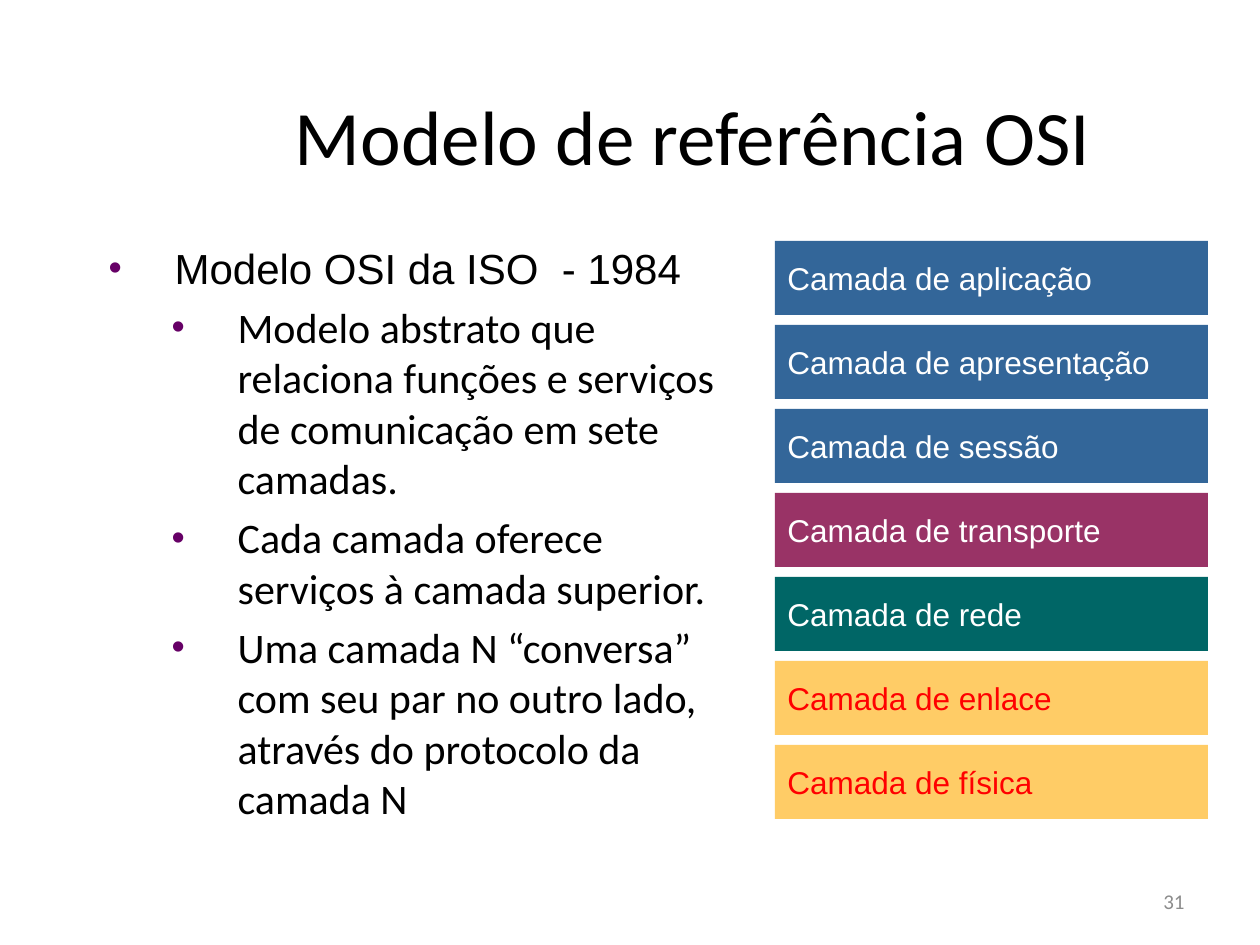
from lxml import etree
from pptx import Presentation, util as u
from pptx.dml.color import RGBColor
from pptx.enum import shapes, text
from pptx.oxml import ns

BLACK = RGBColor(0x00, 0x00, 0x00)
WHITE = RGBColor(0xFF, 0xFF, 0xFF)
RED = RGBColor(0xFF, 0x00, 0x00)
GRAY = RGBColor(0x8C, 0x8C, 0x8C)
BLUE = RGBColor(0x33, 0x66, 0x99)
PLUM = RGBColor(0x99, 0x33, 0x66)
TEAL = RGBColor(0x00, 0x66, 0x66)
GOLD = RGBColor(0xFF, 0xCC, 0x66)
PURPLE = RGBColor(0x66, 0x00, 0x66)
SCALE = 914400 / 126


def px(n):
    return u.Emu(round(n * SCALE))


def style(para, face, size, color):
    for run in para.runs:
        run.font.name = face
        run.font.size = u.Pt(size)
        run.font.color.rgb = color


deck = Presentation()
deck.slide_width, deck.slide_height = px(1260), px(945)
slide = deck.slides.add_slide(deck.slide_layouts[1])

title = slide.shapes.title
title.left, title.top, title.width, title.height = px(147), px(32), px(1092), px(168)
frame = title.text_frame
frame.text = "Modelo de referência OSI"
frame.auto_size = text.MSO_AUTO_SIZE.NONE
frame.vertical_anchor = text.MSO_ANCHOR.MIDDLE
para = frame.paragraphs[0]
para.alignment = text.PP_ALIGN.CENTER
para.line_spacing = 1.4
style(para, "Calibri", 44, BLACK)

body = slide.placeholders[1]
body.left, body.top, body.width, body.height = px(44), px(236), px(701), px(572)
frame = body.text_frame
frame.auto_size = text.MSO_AUTO_SIZE.NONE
points = [
    (1, 118, "Arial", "Modelo OSI da ISO  - 1984"),
    (2, 181, "Calibri", "Modelo abstrato que relaciona funções e serviços de comunicação em sete camadas."),
    (2, 181, "Calibri", "Cada camada oferece serviços à camada superior."),
    (2, 181, "Calibri", "Uma camada N “conversa” com seu par no outro lado, através do protocolo da camada N"),
]
for i, (level, margin, face, words) in enumerate(points):
    para = frame.paragraphs[0] if i == 0 else frame.add_paragraph()
    para.text = words
    para.level = level
    props = para._p.get_or_add_pPr()
    props.set("marL", str(px(margin)))
    props.set("indent", str(px(-66)))
    tint = etree.SubElement(props, ns.qn("a:buClr"))
    etree.SubElement(tint, ns.qn("a:srgbClr"), val=str(PURPLE))
    etree.SubElement(props, ns.qn("a:buSzPct"), val="90000")
    etree.SubElement(props, ns.qn("a:buFont"), typeface="Arial")
    etree.SubElement(props, ns.qn("a:buChar"), char="•")
    para.space_before = u.Pt(5 if i else 0)
    style(para, face, 24, BLACK)

layers = [
    ("aplicação", BLUE, WHITE),
    ("apresentação", BLUE, WHITE),
    ("sessão", BLUE, WHITE),
    ("transporte", PLUM, WHITE),
    ("rede", TEAL, WHITE),
    ("enlace", GOLD, RED),
    ("física", GOLD, RED),
]
for i, (name, fill, ink) in enumerate(layers):
    box = slide.shapes.add_shape(
        shapes.MSO_SHAPE.RECTANGLE, px(775), px(241 + 84 * i), px(433), px(74))
    box.shadow.inherit = False
    box.fill.solid()
    box.fill.fore_color.rgb = fill
    box.line.fill.background()
    frame = box.text_frame
    frame.text = "Camada de " + name
    frame.word_wrap = True
    frame.vertical_anchor = text.MSO_ANCHOR.MIDDLE
    para = frame.paragraphs[0]
    para.alignment = text.PP_ALIGN.LEFT
    style(para, "Arial", 18, ink)

number = slide.shapes.add_textbox(px(903), px(876), px(294), px(50))
frame = number.text_frame
frame.text = "31"
frame.word_wrap = True
frame.vertical_anchor = text.MSO_ANCHOR.MIDDLE
para = frame.paragraphs[0]
para.alignment = text.PP_ALIGN.RIGHT
style(para, "Calibri", 12, GRAY)

deck.save("out.pptx")
